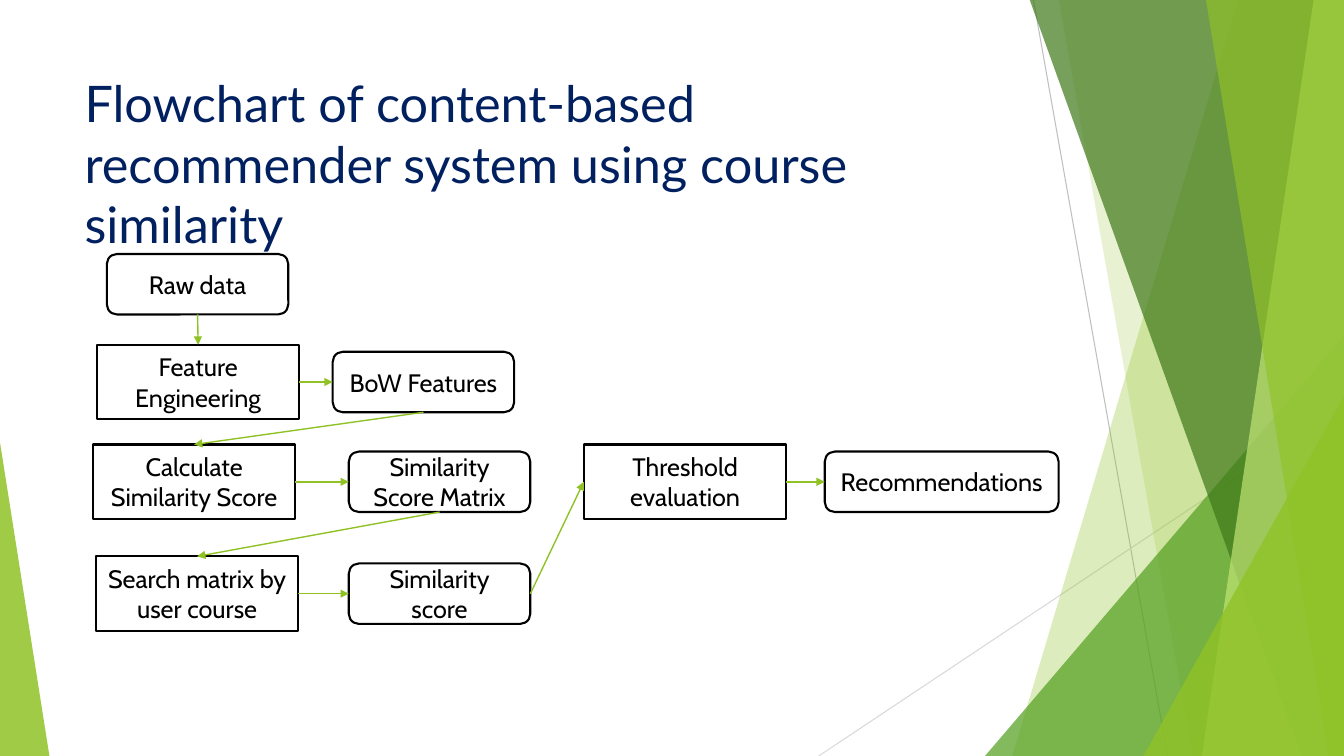
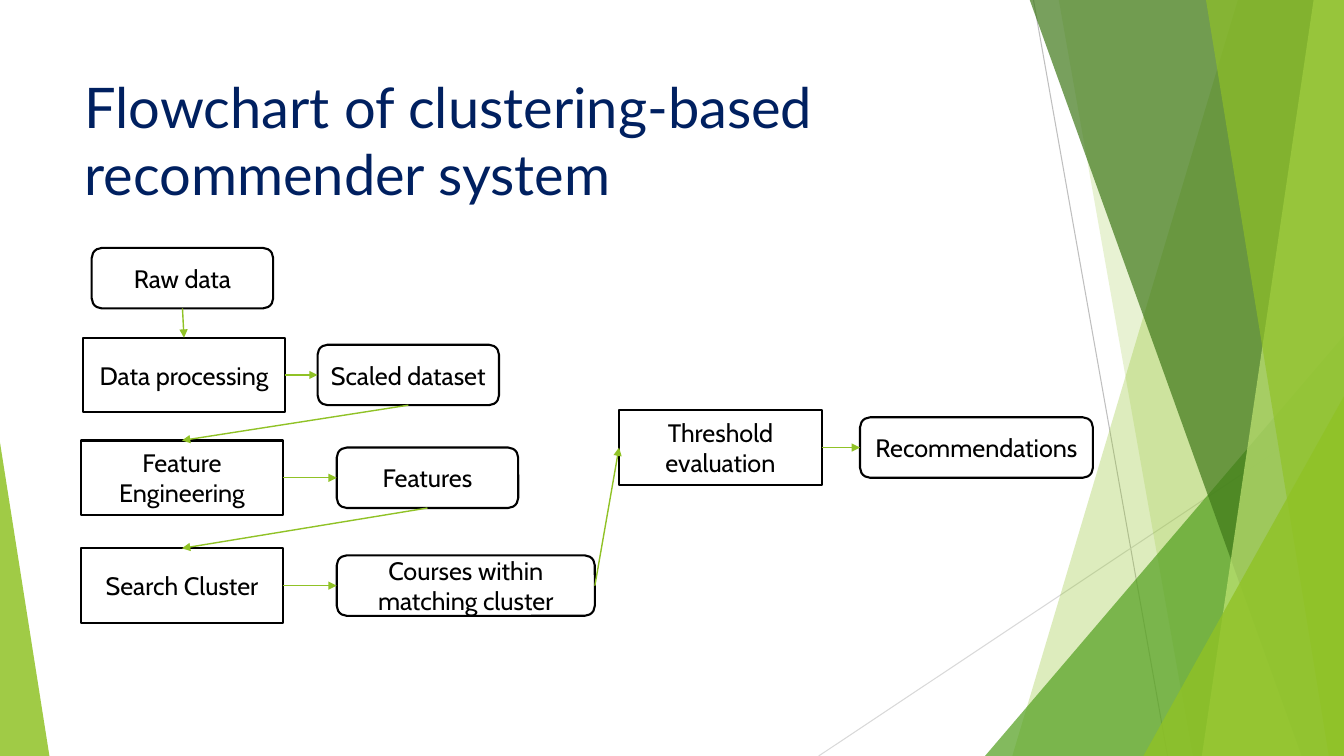
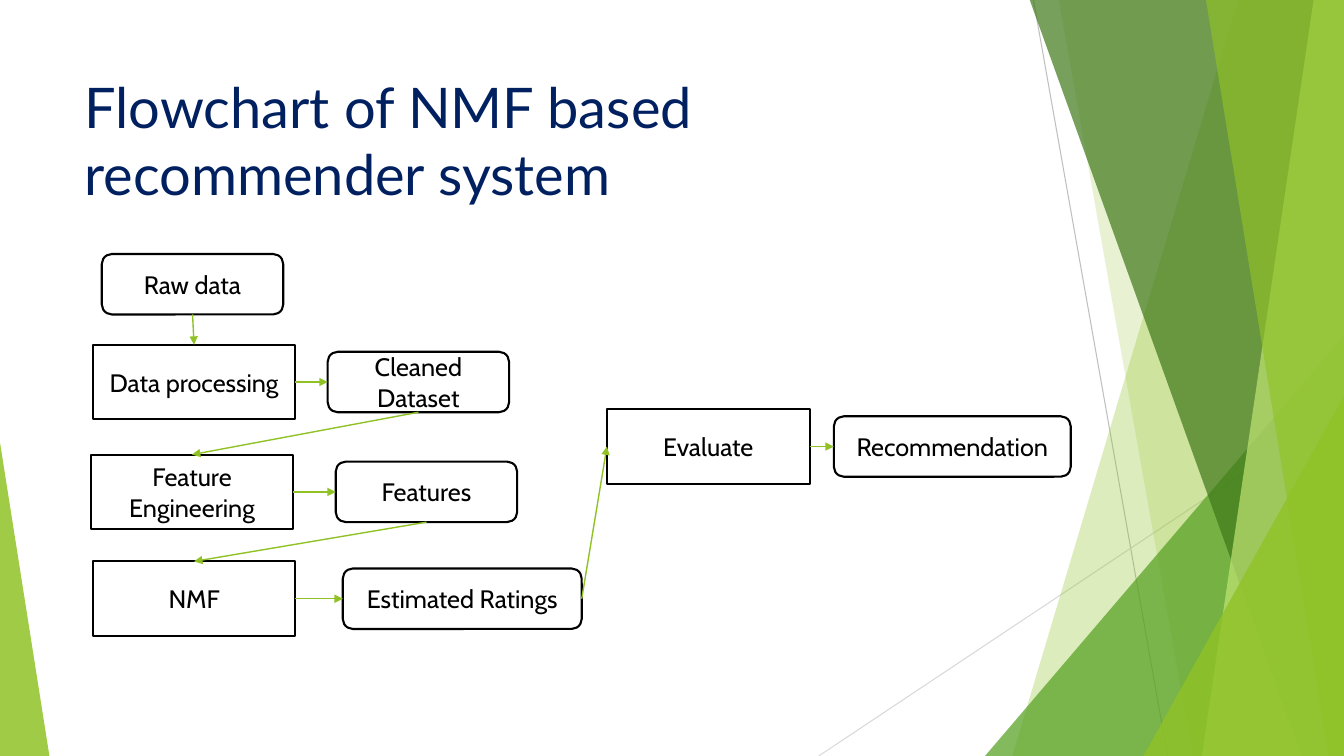
import pptx
import pptx.util
import pptx.dml.color
import pptx.enum.shapes
import pptx.enum.text
import pptx.oxml.ns
import pptx.oxml.xmlchemy

Inches = pptx.util.Inches
Pt = pptx.util.Pt
Kind = pptx.enum.shapes.MSO_SHAPE
Align = pptx.enum.text.PP_ALIGN
Anchor = pptx.enum.text.MSO_ANCHOR
Node = pptx.oxml.xmlchemy.OxmlElement
qn = pptx.oxml.ns.qn

hues = {
    "lime": "90C226",
    "green": "54A021",
    "forest": "3F7819",
    "pale": "C0E474",
    "gray": "BFBFBF",
    "silver": "D9D9D9",
    "navy": "002060",
    "black": "000000",
    "white": "FFFFFF",
}
hues = {name: pptx.dml.color.RGBColor.from_string(code) for name, code in hues.items()}

wide, high = 13.33, 7.5
step_w, step_h, out_h = 2.01, 0.74, 0.6

rays = [
    ("gray", 10.25, 0, 11.58, high),
    ("silver", wide, 4.03, 8.12, high),
]
bands = [
    ("lime", 30, "band", (12.28, 10.04)),
    ("lime", 20, "band", (10.5, 11.83)),
    ("green", 72, 1, (9.77, 3.33, 3.56, 4.17)),
    ("forest", 70, "band", (10.21, 12.91)),
    ("pale", 70, "band", (13.03, 11.92)),
    ("lime", 65, "band", (11.96, 13.18)),
    ("lime", 80, 1, (11.34, 3.93, 1.99, 3.57)),
    ("lime", 85, 0, (0, 4.39, 0.49, 3.11)),
]
flows = [
    ("Flowchart of content-based recommender system using course similarity", 36, (1.06, 2.52), [
        (0.96, 3.42, "Feature Engineering", 3.3, 1.8, "BoW Features"),
        (0.92, 4.41, "Calculate Similarity Score", 3.46, 1.8, "Similarity Score Matrix"),
        (0.95, 5.52, "Search matrix by user course", 3.46, 1.8, "Similarity score"),
        (5.79, 4.41, "Threshold evaluation", 8.18, 2.32, "Recommendations"),
    ]),
    ("Flowchart of clustering-based recommender system", 40, (0.91, 2.46), [
        (0.82, 3.35, "Data processing", 3.15, 1.8, "Scaled dataset"),
        (0.8, 4.37, "Feature Engineering", 3.34, 1.8, "Features"),
        (0.8, 5.44, "Search Cluster", 3.34, 2.56, "Courses within matching cluster"),
        (6.14, 4.07, "Threshold evaluation", 8.53, 2.31, "Recommendations"),
    ]),
    ("Flowchart of NMF based recommender system", 40, (1.01, 2.52), [
        (0.92, 3.42, "Data processing", 3.25, 1.8, "Cleaned Dataset"),
        (0.9, 4.51, "Feature Engineering", 3.33, 1.8, "Features"),
        (0.92, 5.57, "NMF", 3.4, 2.37, "Estimated Ratings"),
        (6.02, 4.06, "Evaluate", 8.27, 2.35, "Recommendation"),
    ]),
]


def add_box(slide, kind, x, y, w, h, text):
    box = slide.shapes.add_shape(kind, Inches(x), Inches(y), Inches(w), Inches(h))
    box.shadow.inherit = False
    if kind == Kind.RECTANGLE:
        box.fill.solid()
        box.fill.fore_color.rgb = hues["white"]
    else:
        box.fill.background()
    box.line.color.rgb = hues["black"]
    box.line.width = Pt(1.5)
    frame = box.text_frame
    frame.word_wrap = True
    frame.vertical_anchor = Anchor.MIDDLE
    frame.text = text
    para = frame.paragraphs[0]
    para.alignment = Align.CENTER
    para.font.name = "Cabin"
    para.font.size = Pt(18)
    para.font.color.rgb = hues["black"]
    return box


def add_line(slide, hue, width, x1=0, y1=0, x2=0, y2=0):
    line = slide.shapes.add_connector(
        pptx.enum.shapes.MSO_CONNECTOR.STRAIGHT, Inches(x1), Inches(y1), Inches(x2), Inches(y2))
    line.line.color.rgb = hues[hue]
    line.line.width = Pt(width)
    line._element.spPr.append(Node("a:effectLst"))
    return line


deck = pptx.Presentation()
deck.slide_width = Inches(wide)
deck.slide_height = Inches(high)

for title, size, raw, steps in flows:
    slide = deck.slides.add_slide(deck.slide_layouts[6])

    for hue, *ends in rays:
        add_line(slide, hue, 0.75, *ends)

    for hue, alpha, tip, place in bands:
        if tip == "band":
            top, base = place
            pen = slide.shapes.build_freeform(Inches(top), Inches(-0.01))
            pen.add_line_segments([
                (Inches(wide), Inches(-0.01)),
                (Inches(wide), Inches(high)),
                (Inches(base), Inches(high)),
            ])
            band = pen.convert_to_shape()
        else:
            band = slide.shapes.add_shape(Kind.ISOSCELES_TRIANGLE, *map(Inches, place))
            band.adjustments[0] = tip
        band.shadow.inherit = False
        band.line.fill.background()
        band.fill.solid()
        band.fill.fore_color.rgb = hues[hue]
        color = band._element.spPr.find(".//" + qn("a:srgbClr"))
        clear = Node("a:alpha")
        clear.set("val", str(alpha * 1000))
        color.append(clear)

    head = slide.shapes.add_textbox(Inches(0.74), Inches(0.67), Inches(9.4), Inches(1.44))
    head.text_frame.word_wrap = True
    head.text_frame.text = title
    para = head.text_frame.paragraphs[0]
    para.font.name = "Lato"
    para.font.size = Pt(size)
    para.font.color.rgb = hues["navy"]

    chain = [add_box(slide, Kind.ROUNDED_RECTANGLE, *raw, 1.8, out_h, "Raw data")]
    for x, y, step, out_x, out_w, out in steps:
        chain.append(add_box(slide, Kind.RECTANGLE, x, y, step_w, step_h, step))
        out_y = y + (step_h - out_h) / 2
        chain.append(add_box(slide, Kind.ROUNDED_RECTANGLE, out_x, out_y, out_w, out_h, out))

    for start, end in zip(chain, chain[1:]):
        across = end.left >= start.left + start.width
        arrow = add_line(slide, "lime", 1)
        arrow.begin_connect(start, 3 if across else 2)
        arrow.end_connect(end, 1 if across else 0)
        tail = Node("a:tailEnd")
        tail.set("type", "triangle")
        arrow._element.spPr.find(qn("a:ln")).append(tail)

deck.save("out.pptx")
